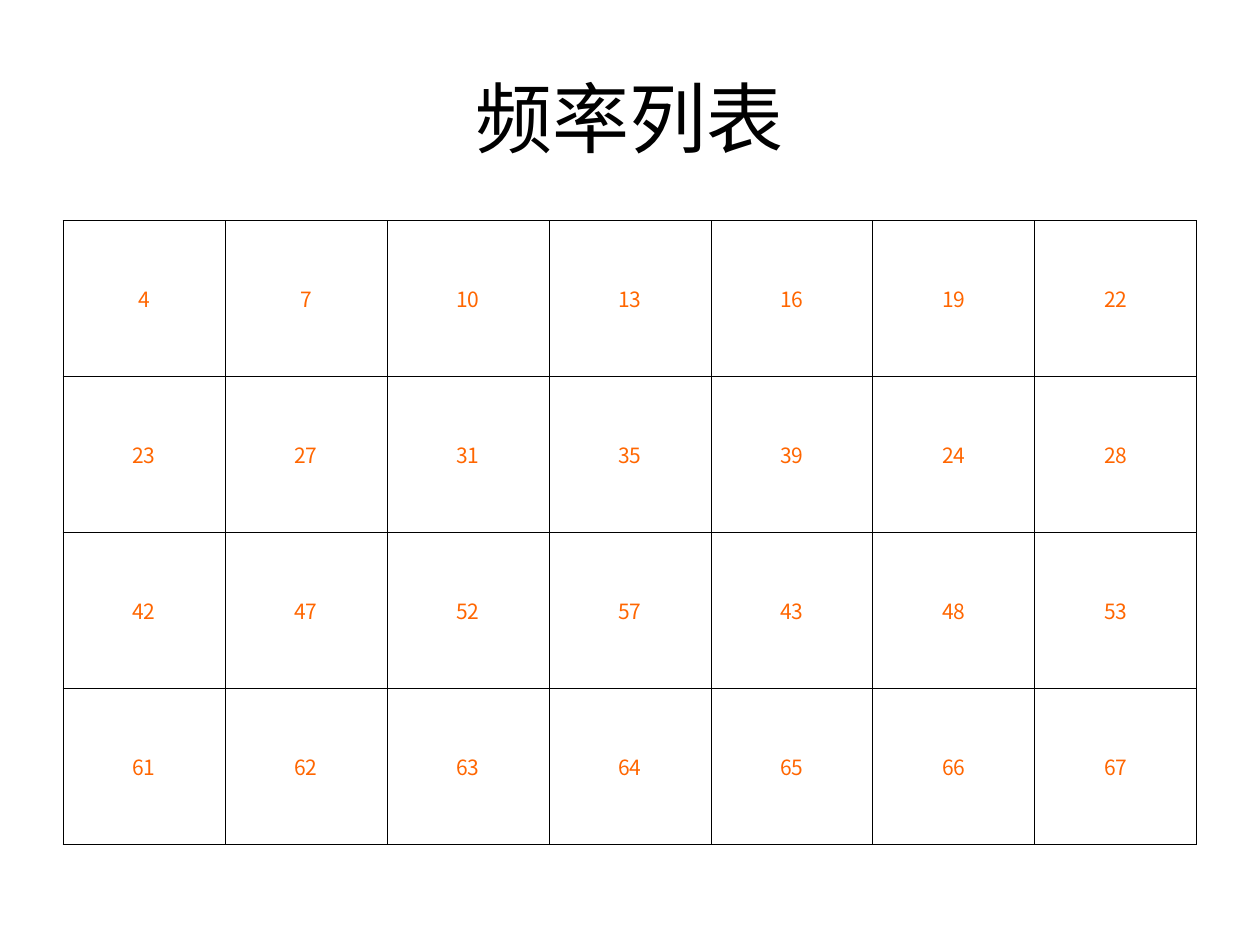
from pptx import Presentation
from pptx.dml.color import RGBColor
from pptx.enum import text
from pptx.oxml import parse_xml
from pptx.oxml.ns import nsdecls
from pptx.util import Inches, Pt

COLORS = {"title": "000000", "border": "000000", "number": "FF6600"}
FREQUENCIES = [
    [4, 7, 10, 13, 16, 19, 22],
    [23, 27, 31, 35, 39, 24, 28],
    [42, 47, 52, 57, 43, 48, 53],
    [61, 62, 63, 64, 65, 66, 67],
]


def style_paragraph(paragraph, font_name, size, color):
    """Centre a paragraph and format its runs."""
    paragraph.alignment = text.PP_ALIGN.CENTER
    for run in paragraph.runs:
        run.font.name = font_name
        run.font.size = Pt(size)
        run.font.color.rgb = RGBColor.from_string(COLORS[color])


def add_title(slide, wording):
    """Place and format the title placeholder."""
    title = slide.shapes.title
    title.left, title.top = Inches(0.5), Inches(0.3)
    title.width, title.height = Inches(9), Inches(1.25)
    title.text_frame.text = wording
    title.text_frame.vertical_anchor = text.MSO_ANCHOR.MIDDLE
    style_paragraph(title.text_frame.paragraphs[0], "Arial", 44, "title")


def set_borders(cell, width):
    """Draw a solid line on all four sides of a cell."""
    properties = cell._tc.get_or_add_tcPr()
    for side in ("lnL", "lnR", "lnT", "lnB"):
        properties.append(parse_xml(
            f'<a:{side} {nsdecls("a")} w="{Pt(width)}"><a:solidFill>'
            f'<a:srgbClr val="{COLORS["border"]}"/></a:solidFill></a:{side}>'
        ))


def fill_cell(cell, value):
    """Write one centred number into a bordered, unfilled cell."""
    set_borders(cell, 0.45)
    cell.fill.background()
    cell.vertical_anchor = text.MSO_ANCHOR.MIDDLE
    cell.text_frame.text = str(value)
    paragraph = cell.text_frame.paragraphs[0]
    properties = paragraph._p.get_or_add_pPr()
    properties.set("marL", str(Inches(0.38)))
    properties.set("indent", str(Inches(-0.38)))
    style_paragraph(paragraph, "Noto Sans CJK SC", 12, "number")


def add_frequency_table(slide, rows):
    """Add the grid of frequencies with equal columns and rows."""
    table = slide.shapes.add_table(
        len(rows), len(rows[0]), Inches(0.5), Inches(1.75), Inches(9), Inches(4.95)
    ).table
    table.first_row = False
    table.horz_banding = False
    for row_index, row in enumerate(rows):
        for column_index, value in enumerate(row):
            fill_cell(table.cell(row_index, column_index), value)


def main():
    """Build and save the slide."""
    presentation = Presentation()
    presentation.slide_width = Inches(10)
    presentation.slide_height = Inches(7.5)
    slide = presentation.slides.add_slide(presentation.slide_layouts[5])
    add_title(slide, "频率列表")
    add_frequency_table(slide, FREQUENCIES)
    presentation.save("out.pptx")


if __name__ == "__main__":
    main()
